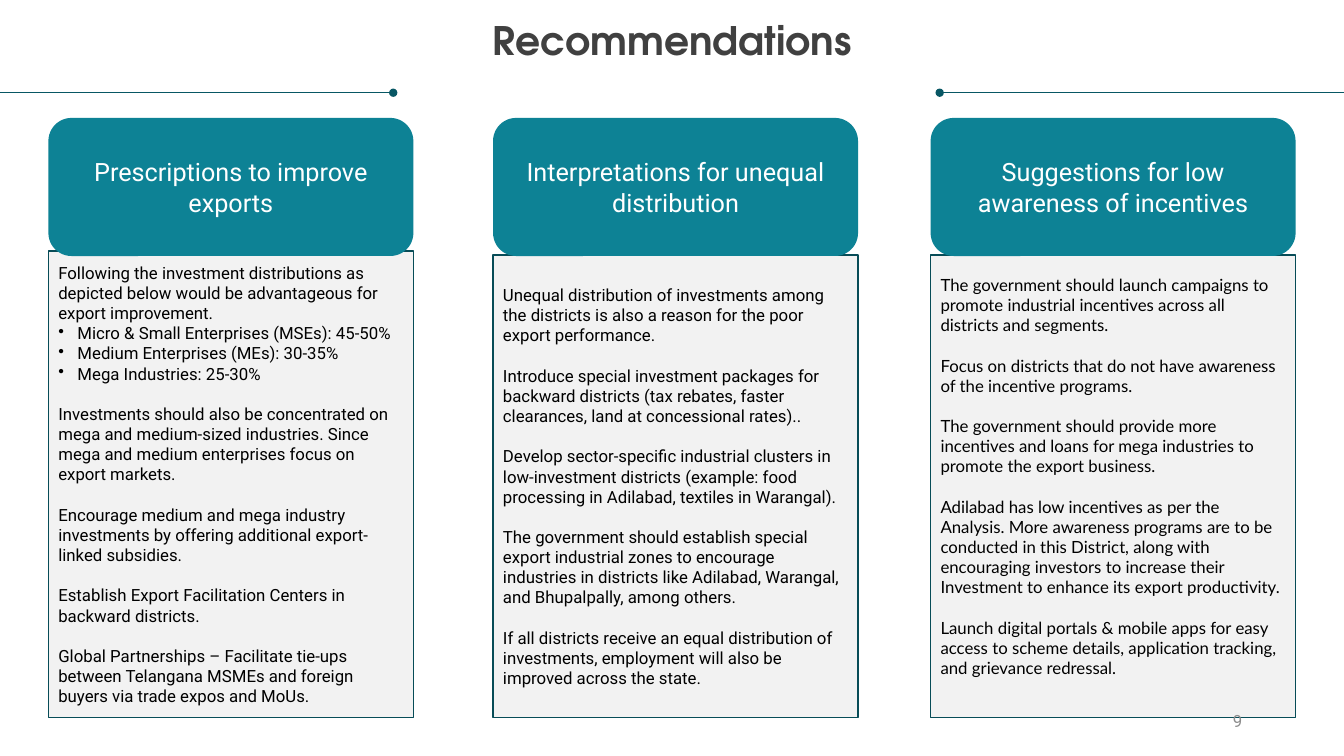
"""Build the Recommendations slide with three headed columns."""
from lxml import etree
from pptx import Presentation
from pptx.dml.color import RGBColor
from pptx.enum.shapes import MSO_CONNECTOR, MSO_SHAPE
from pptx.enum.text import MSO_ANCHOR, MSO_AUTO_SIZE, PP_ALIGN
from pptx.oxml.ns import qn
from pptx.util import Inches, Pt

RECT, ROUNDED = MSO_SHAPE.RECTANGLE, MSO_SHAPE.ROUNDED_RECTANGLE
STRAIGHT = MSO_CONNECTOR.STRAIGHT
TOP, MIDDLE = MSO_ANCHOR.TOP, MSO_ANCHOR.MIDDLE
LEFT, CENTER, RIGHT = PP_ALIGN.LEFT, PP_ALIGN.CENTER, PP_ALIGN.RIGHT
NO_AUTOFIT = MSO_AUTO_SIZE.NONE

TEAL = RGBColor(0x0D, 0x82, 0x95)
RULE = RGBColor(0x08, 0x57, 0x64)
BORDER = RGBColor(0x07, 0x4C, 0x57)
PANEL = RGBColor(0xF2, 0xF2, 0xF2)
WHITE = RGBColor(0xFF, 0xFF, 0xFF)
BLACK = RGBColor(0x00, 0x00, 0x00)
DARK = RGBColor(0x40, 0x40, 0x40)
GRAY = RGBColor(0x8C, 0x8C, 0x8C)

TITLE_FONT = {"name": "TeX Gyre Adventor", "size": Pt(28), "bold": True}
HEADING_FONT = {"name": "Roboto", "size": Pt(18)}
NUMBER_FONT = {"name": "Roboto", "size": Pt(12)}
BULLET = "• "

COLUMNS = [
    (0.48, 2.49, 0.05, "Roboto", "Prescriptions to improve exports", [
        "Following the investment distributions as depicted below would be "
        "advantageous for export improvement.",
        "• Micro & Small Enterprises (MSEs): 45-50%",
        "• Medium Enterprises (MEs): 30-35%",
        "• Mega Industries: 25-30%",
        "Investments should also be concentrated on mega and medium-sized "
        "industries. Since mega and medium enterprises focus on export markets.",
        "Encourage medium and mega industry investments by offering additional "
        "export-linked subsidies.",
        "Establish Export Facilitation Centers in backward districts.",
        "Global Partnerships – Facilitate tie-ups between Telangana MSMEs and "
        "foreign buyers via trade expos and MoUs.",
    ]),
    (4.89, 2.53, 0.05, "Roboto", "Interpretations for unequal distribution", [
        "Unequal distribution of investments among the districts is also a "
        "reason for the poor export performance.",
        "Introduce special investment packages for backward districts (tax "
        "rebates, faster clearances, land at concessional rates)..",
        "Develop sector-specific industrial clusters in low-investment districts "
        "(example: food processing in Adilabad, textiles in Warangal).",
        "The government should establish special export industrial zones to "
        "encourage industries in districts like Adilabad, Warangal, and "
        "Bhupalpally, among others.",
        "If all districts receive an equal distribution of investments, "
        "employment will also be improved across the state.",
    ]),
    (9.23, 2.53, 0.25, "Lato", "Suggestions for low awareness of incentives", [
        "The government should launch campaigns to promote industrial incentives "
        "across all districts and segments.",
        "Focus on districts that do not have awareness of the incentive programs.",
        "The government should provide more incentives and loans for mega "
        "industries to promote the export business.",
        "Adilabad has low incentives as per the Analysis. More awareness programs "
        "are to be conducted in this District, along with encouraging investors "
        "to increase their Investment to enhance its export productivity.",
        "Launch digital portals & mobile apps for easy access to scheme details, "
        "application tracking, and grievance redressal.",
    ]),
]


def write(tf, texts, font, color, align, anchor=MIDDLE):
    tf.word_wrap = True
    tf.auto_size = NO_AUTOFIT
    tf.vertical_anchor = anchor
    for i, text in enumerate(texts):
        p = tf.add_paragraph() if i else tf.paragraphs[0]
        p.alignment = align
        if text.startswith(BULLET):
            pPr = p._p.get_or_add_pPr()
            pPr.set("marL", str(Inches(0.19)))
            pPr.set("indent", str(-Inches(0.19)))
            etree.SubElement(pPr, qn("a:buChar")).set("char", "•")
        elif i:
            p.space_before = Pt(14.4)
        r = p.add_run()
        r.text = text.removeprefix(BULLET)
        for key, value in font.items():
            setattr(r.font, key, value)
        r.font.color.rgb = color


def add_box(kind, left, top, height, fill):
    sp = s.shapes.add_shape(kind, Inches(left), Inches(top), Inches(3.62), Inches(height))
    sp.shadow.inherit = False
    sp.fill.solid()
    sp.fill.fore_color.rgb = fill
    return sp


prs = Presentation()
prs.slide_width, prs.slide_height = Inches(13.33), Inches(7.5)
s = prs.slides.add_slide(prs.slide_layouts[5])

title = s.shapes.title
title.left, title.top = Inches(0.25), Inches(0.21)
title.width, title.height = Inches(12.83), Inches(0.42)
tf = title.text_frame
for side in ("left", "top", "right", "bottom"):
    setattr(tf, f"margin_{side}", 0)
write(tf, ["Recommendations"], TITLE_FONT, DARK, CENTER, TOP)
tf.paragraphs[0].line_spacing = 0.9

for start, end, dot in ((9.32, 13.33, "a:headEnd"), (0, 3.9, "a:tailEnd")):
    rule = s.shapes.add_connector(STRAIGHT, Inches(start), Inches(0.92), Inches(end), Inches(0.92))
    rule.line.color.rgb = RULE
    rule.line.width = Pt(0.5)
    etree.SubElement(rule.line._get_or_add_ln(), qn(dot)).set("type", "oval")
    etree.SubElement(rule._element.spPr, qn("a:effectLst"))

for left, top, bottom_margin, face, heading, texts in COLUMNS:
    panel = add_box(RECT, left, top, 7.12 - top, PANEL)
    panel.line.color.rgb = BORDER
    panel.line.width = Pt(1)
    panel.text_frame.margin_bottom = Inches(bottom_margin)
    write(panel.text_frame, texts, {"name": face, "size": Pt(12)}, BLACK, LEFT)
    header = add_box(ROUNDED, left, 1.17, 1.37, TEAL)
    header.line.fill.background()
    write(header.text_frame, [heading], HEADING_FONT, WHITE, CENTER)

number = s.shapes.add_textbox(Inches(9.42), Inches(6.95), Inches(3), Inches(0.4))
write(number.text_frame, ["9"], NUMBER_FONT, GRAY, RIGHT)

prs.save("out.pptx")
